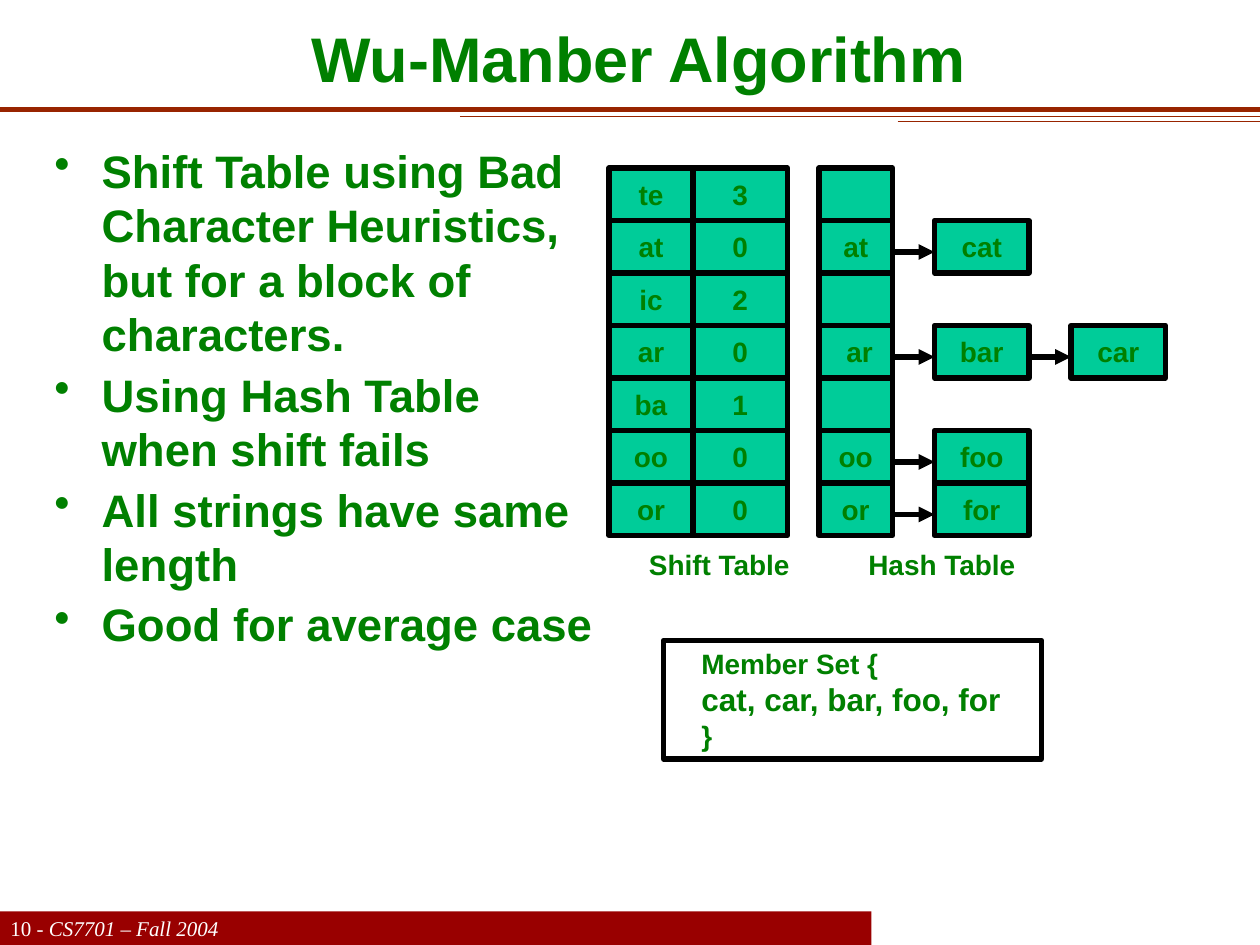
from lxml.etree import SubElement
from pptx import Presentation
from pptx.dml.color import RGBColor as RGB
from pptx.enum.shapes import MSO_CONNECTOR as CONN, MSO_SHAPE as SHAPE
from pptx.enum.text import MSO_ANCHOR as ANCHOR, PP_ALIGN as ALIGN
from pptx.oxml.ns import qn
from pptx.util import Pt

PX = 7620  # EMU per px, 120 px to the inch
W, H = 1200, 900
ROW_H = 50
COLORS = {"text": "008000", "cell": "00CC99", "border": "000000",
          "rule": "982400", "footer": "990000", "white": "FFFFFF"}
BODY_FONT = {"name": "Arial", "size": Pt(16), "bold": True}

SHIFT_ROWS = [("te", "3"), ("at", "0"), ("ic", "2"), ("ar", "0"),
              ("ba", "1"), ("oo", "0"), ("or", "0")]
HASH_ROWS = [("", []), ("at", ["cat"]), ("", []), (" ar", ["bar", "car"]),
             ("", []), ("oo", ["foo"]), ("or", ["for"])]
BULLETS = ["Shift Table using Bad Character Heuristics, but for a block of characters.",
           "Using Hash Table when shift fails",
           "All strings have same length",
           "Good for average case"]


def px(*values):
    return [round(v * PX) for v in values]


def color(name):
    return RGB.from_string(COLORS[name])


def set_frame(sp, margin_x=36, margin_y=6, anchor=ANCHOR.TOP, wrap=False):
    mx, my = px(margin_x, margin_y)
    tf = sp.text_frame
    frame = {"margin_left": mx, "margin_right": mx, "margin_top": my,
             "margin_bottom": my, "vertical_anchor": anchor, "word_wrap": wrap}
    for key, value in frame.items():
        setattr(tf, key, value)
    return tf


def add_run(p, text, fill="text", **font):
    r = p.add_run()
    r.text = text
    for key, value in {**BODY_FONT, **font}.items():
        setattr(r.font, key, value)
    r.font.color.rgb = color(fill)


def add_rect(s, box, fill=None, line=None):
    sp = s.shapes.add_shape(SHAPE.RECTANGLE, *px(*box))
    sp.shadow.inherit = False
    if fill:
        sp.fill.solid()
        sp.fill.fore_color.rgb = color(fill)
    else:
        sp.fill.background()
    if line:
        sp.line.color.rgb = color(line)
        sp.line.width = Pt(3)
    else:
        sp.line.fill.background()
    return sp


def add_line(s, x1, x2, y, name, width, arrow=False):
    cx = s.shapes.add_connector(CONN.STRAIGHT, *px(x1, y, x2, y))
    cx.line.color.rgb = color(name)
    cx.line.width = Pt(width)
    if arrow:
        SubElement(cx.line._get_or_add_ln(), qn("a:tailEnd"), type="triangle")
    SubElement(cx._element.spPr, qn("a:effectLst"))


def add_label(s, box, text, anchor=ANCHOR.TOP, **font):
    sp = s.shapes.add_textbox(*px(*box))
    p = set_frame(sp, anchor=anchor).paragraphs[0]
    p.alignment = ALIGN.CENTER
    add_run(p, text, **font)


def add_cell(s, x, y, w, text):
    sp = add_rect(s, (x, y, w, ROW_H), "cell", "border")
    if text:
        p = set_frame(sp, anchor=ANCHOR.MIDDLE).paragraphs[0]
        p.alignment = ALIGN.CENTER
        add_run(p, text)


def add_header(s, x, y, w, h):
    for start, top, width in ((0, 104, 3), (438, 111, 0.75), (855, 116, 0.5)):
        add_line(s, x + start, x + w, y + top, "rule", width)
    add_label(s, (x, y, w, h), " Wu-Manber Algorithm", ANCHOR.MIDDLE, size=Pt(36))


def add_footer(s, x, y, w, h):
    sp = add_rect(s, (x, y, w, h), "footer")
    p = set_frame(sp, 10, 0, ANCHOR.MIDDLE).paragraphs[0]
    p.alignment = ALIGN.LEFT
    font = {"name": "Times New Roman", "size": Pt(12), "bold": False}
    add_run(p, "10", "white", **font)
    add_run(p, " - CS7701 – Fall 2004", "white", italic=True, **font)


def add_bullets(s, x, y, w, h):
    tf = set_frame(s.shapes.add_textbox(*px(x, y, w, h)), 12, wrap=True)
    indent, = px(45)
    for i, text in enumerate(BULLETS):
        p = tf.add_paragraph() if i else tf.paragraphs[0]
        p.space_before = Pt(3.3)
        pPr = p._p.get_or_add_pPr()
        pPr.set("marL", str(indent))
        pPr.set("indent", str(-indent))
        clr = SubElement(pPr, qn("a:buClr"))
        SubElement(clr, qn("a:srgbClr"), val=COLORS["text"])
        SubElement(pPr, qn("a:buChar"), char="•")
        add_run(p, text, size=Pt(26))


def add_shift_table(s, x, y):
    for i, (block, shift) in enumerate(SHIFT_ROWS):
        add_cell(s, x, y + i * ROW_H, 80, block)
        add_cell(s, x + 80, y + i * ROW_H, 90, shift)
    add_label(s, (x + 1, y + 356, 208, 44), "Shift Table")


def add_hash_table(s, x, y):
    """Draw the bucket column and the chain of words that hangs off each bucket."""
    bucket_w, word_w, gap = 70, 90, 40
    for i, (block, words) in enumerate(HASH_ROWS):
        top, right = y + i * ROW_H, x + bucket_w
        add_cell(s, x, top, bucket_w, block)
        for word in words:
            add_cell(s, right + gap, top, word_w, word)
            add_line(s, right, right + gap, top + 30, "border", 3, arrow=True)
            right += gap + word_w
    add_label(s, (x + 10, y + 356, 214, 44), "Hash Table")


def add_member_set(s, x, y, w, h):
    tf = set_frame(add_rect(s, (x, y, w, h), line="border"))
    lines = (("Member Set {", 16), ("cat, car, bar, foo, for", 18), ("}", 16))
    for i, (text, size) in enumerate(lines):
        p = tf.add_paragraph() if i else tf.paragraphs[0]
        p.alignment = ALIGN.LEFT
        add_run(p, text, size=Pt(size))


def main():
    prs = Presentation()
    prs.slide_width, prs.slide_height = px(W, H)
    s = prs.slides.add_slide(prs.slide_layouts[6])
    add_footer(s, 0, 868, 830, 32)
    add_header(s, 0, 0, W, 110)
    add_bullets(s, 40, 130, 545, 720)
    add_shift_table(s, 580, 160)
    add_hash_table(s, 780, 160)
    add_member_set(s, 632, 610, 360, 113)
    prs.save("out.pptx")


if __name__ == "__main__":
    main()
